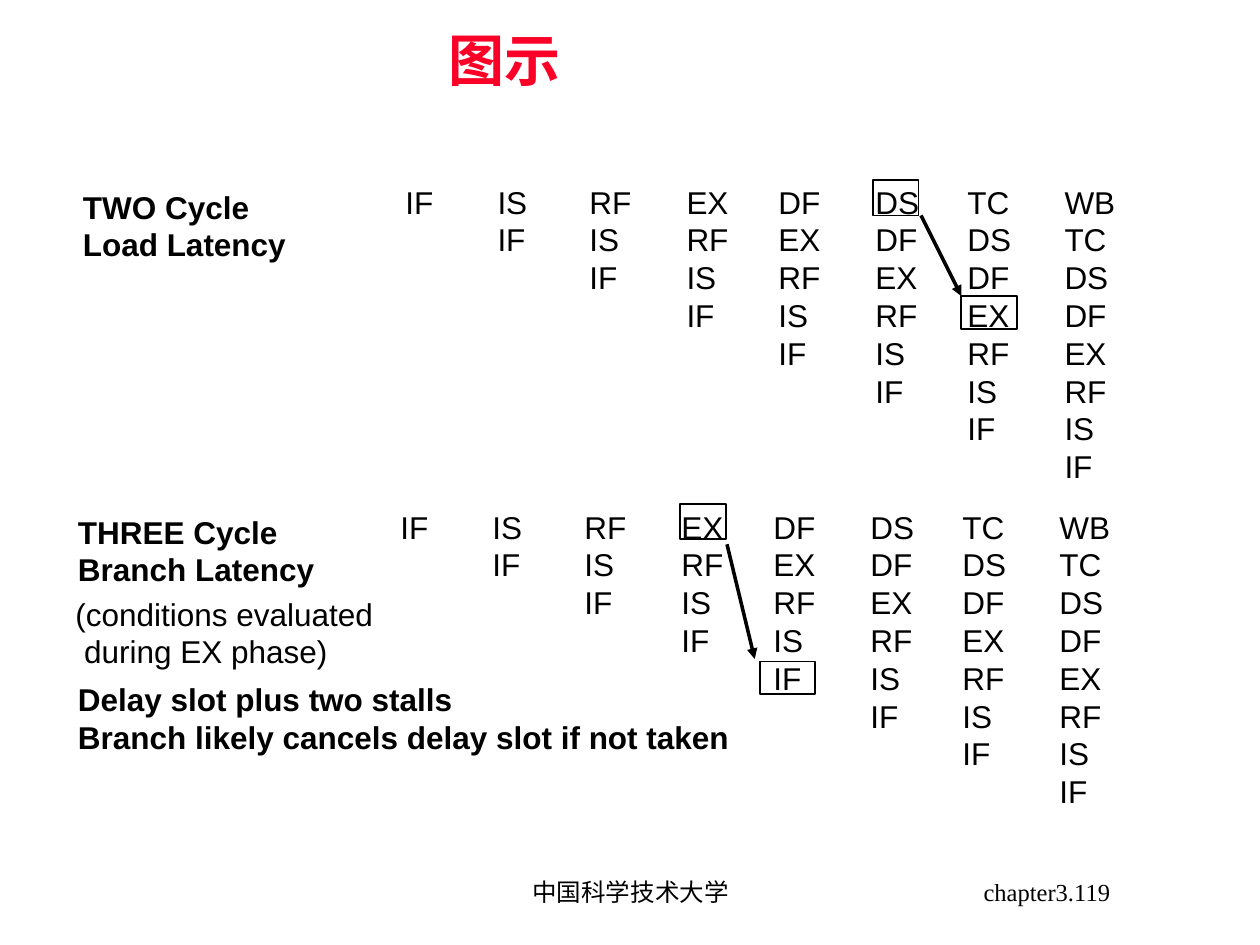
"""Build the slide on load and branch latency in an eight-stage pipeline."""
from lxml.etree import SubElement
from pptx import Presentation
from pptx.dml.color import RGBColor
from pptx.enum.shapes import MSO_CONNECTOR as CONN, MSO_SHAPE as SHAPE
from pptx.enum.text import MSO_ANCHOR as ANCHOR, MSO_AUTO_SIZE as FIT, PP_ALIGN as ALIGN
from pptx.oxml.ns import qn
from pptx.util import Inches, Pt


def rgb(color):
    return RGBColor.from_string(color)


def text(lines, grid, sp=None, size=18, font="Arial", color="000000", bold=False,
         align=ALIGN.LEFT, anchor=ANCHOR.TOP, wrap=False, spacing=1.0,
         fit=FIT.SHAPE_TO_FIT_TEXT):
    x, y, w, h = [int(v * U) for v in grid]
    sp = sp or s.shapes.add_textbox(x, y, w, h)
    sp.left, sp.top, sp.width, sp.height = x, y, w, h
    tf = sp.text_frame
    tf.text = "\n".join(lines)
    tf.word_wrap, tf.vertical_anchor, tf.auto_size = wrap, anchor, fit
    for p in tf.paragraphs:
        p.alignment, p.line_spacing = align, spacing
        for r in p.runs:
            r.font.size, r.font.name, r.font.bold = Pt(size), font, bold
            r.font.color.rgb = rgb(color)


prs = Presentation()
prs.slide_width, prs.slide_height = Inches(10), Inches(7.5)
U = prs.slide_width / 100
ROW = 3
SLACK = 0.2
s = prs.slides.add_slide(prs.slide_layouts[5])

text(["图示"], (8.4, 2.5, 63.3, 5), sp=s.shapes.title, size=32, color="FC0128", bold=True,
     align=ALIGN.CENTER, anchor=ANCHOR.MIDDLE, wrap=True, spacing=0.9, fit=FIT.NONE)
footers = [("中国科学技术大学", 34.2, 31.7, ALIGN.CENTER), ("chapter3.119", 68.3, 20.8, ALIGN.RIGHT)]
for footer, x, w, align in footers:
    text([footer], (x, 68.3, w, 5), size=14, font="Times New Roman",
         align=align, anchor=ANCHOR.MIDDLE, fit=FIT.NONE)

stages = ["IF", "IS", "RF", "EX", "DF", "DS", "TC", "WB"]
offsets = [0, 7.3, 14.6, 22.3, 29.6, 37.3, 44.6, 52.3]
widths = [4.2, 4.3, 5.3, 5.3, 5.3, 5.5, 5.5, 6]
diagrams = [
    (31.2, 14, [(69.3, 14.3, 3.6, 2.8), (76.3, 23.5, 4.4, 2.6)], (73.1, 17.1, 76.3, 23.5)),
    (30.8, 39.8, [(54, 40, 3.6, 2.8), (60.3, 52.5, 4.4, 2.6)], (57.7, 43.2, 59.9, 52.3)),
]
for left, top, boxes, arrow in diagrams:
    for i, (offset, width) in enumerate(zip(offsets, widths)):
        text(stages[i::-1], (left + offset, top, width + SLACK, 1 + ROW * (i + 1)))
    line = s.shapes.add_connector(CONN.STRAIGHT, *[int(v * U) for v in arrow])
    line.line.color.rgb, line.line.width = rgb("000000"), Pt(2)
    SubElement(line.get_or_add_ln(), qn("a:tailEnd"), type="triangle")
    SubElement(line._element.spPr, qn("a:effectLst"))
    for box in boxes:
        sp = s.shapes.add_shape(SHAPE.RECTANGLE, *[int(v * U) for v in box])
        sp.shadow.inherit = False
        sp.fill.background()
        sp.line.color.rgb, sp.line.width = rgb("000000"), Pt(1)

labels = [
    (["TWO Cycle", "Load Latency"], 5.6, 14.4, 18.1, True),
    (["THREE Cycle", "Branch Latency"], 5.2, 40.2, 20.7, True),
    (["(conditions evaluated", " during EX phase)"], 5, 46.7, 25.6, False),
    (["Delay slot plus two stalls", "Branch likely cancels delay slot if not taken"],
     5.2, 53.5, 53.7, True),
]
for lines, x, y, w, bold in labels:
    text(lines, (x, y, w + SLACK, 1 + ROW * len(lines)), bold=bold)

prs.save("out.pptx")
